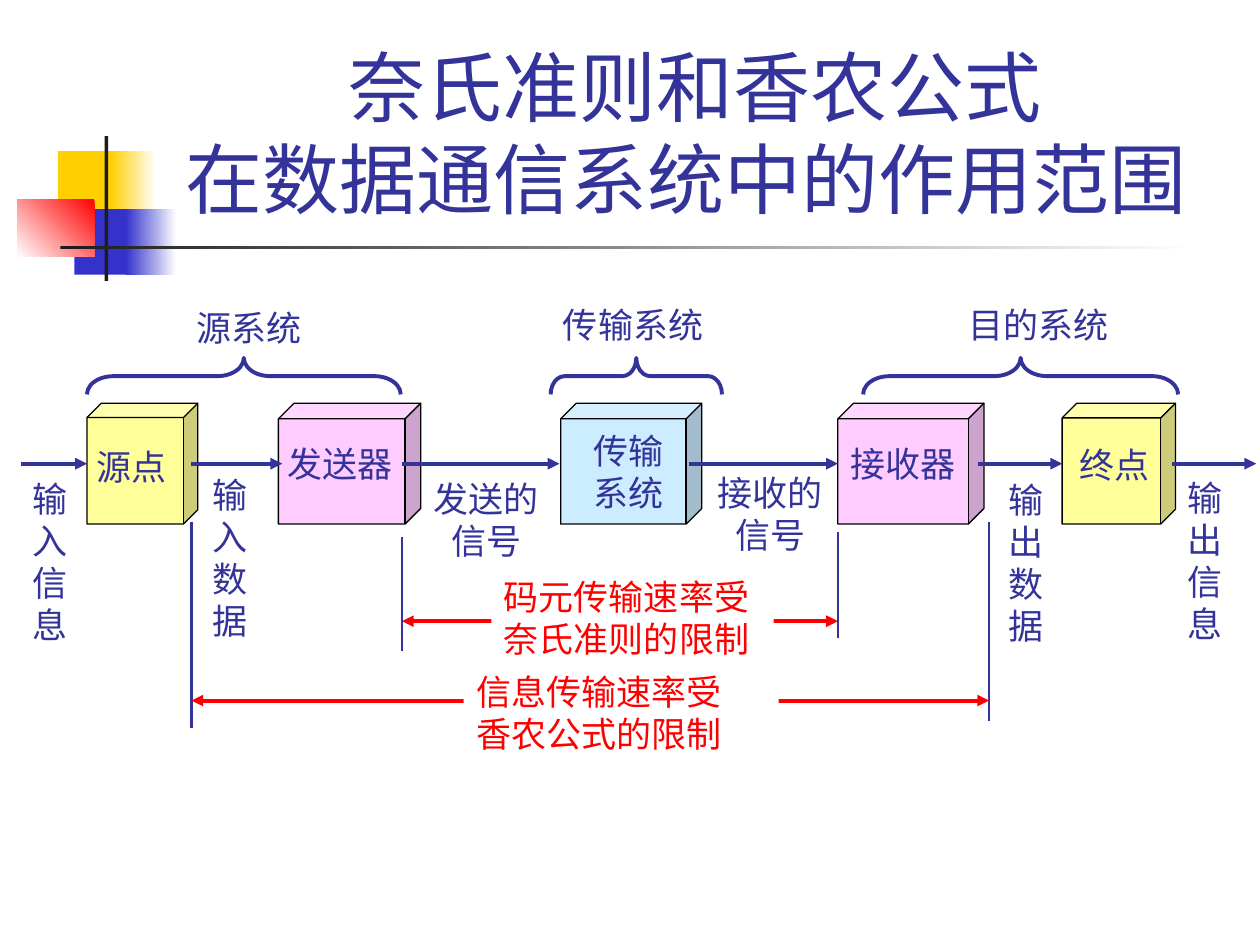
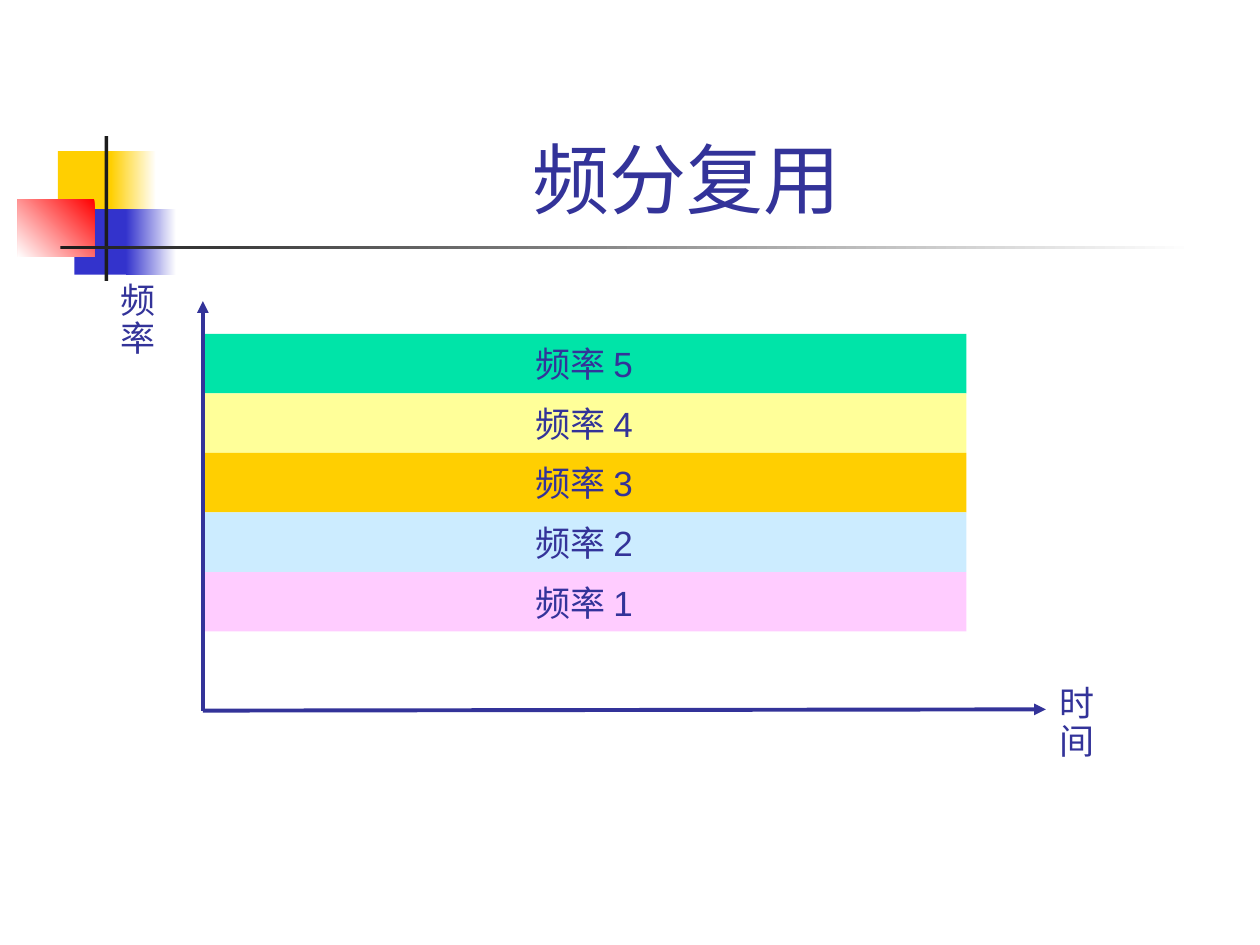
from lxml.etree import SubElement
from pptx import Presentation
from pptx.dml.color import RGBColor
from pptx.enum.shapes import MSO_CONNECTOR, MSO_SHAPE
from pptx.enum.text import MSO_ANCHOR, MSO_AUTO_SIZE, PP_ALIGN
from pptx.oxml.ns import qn
from pptx.util import Inches, Pt

NAVY, RED, WHITE, BLACK = "333399", "FF0000", "FFFFFF", "000000"
GOLD, BLUE, DARK = "FFCF01", "3333CC", "1C1C1C"
YELLOW, PINK, SKY, GREEN = "FFFF99", "FFCCFF", "CCECFF", "00E4A8"
HAN, SANS, SERIF = "Noto Sans CJK SC", "Arial", "Times New Roman"
LEFT, MID = PP_ALIGN.LEFT, PP_ALIGN.CENTER

# left, top, width, height, colour, angle of the fade to white (None: solid)
DECOR = [
    (0.46, 1.2, 0.48, 0.52, GOLD, None),
    (0.88, 1.2, 0.36, 0.52, GOLD, 0),
    (0.59, 1.66, 0.46, 0.52, BLUE, None),
    (1, 1.66, 0.4, 0.52, BLUE, 0),
    (0.14, 1.58, 0.61, 0.46, RED, 225),
    (0.83, 1.08, 0.03, 1.15, DARK, None),
    (0.48, 1.95, 9, 0.03, DARK, 0),
]

# Slide 1
SCOPE = "奈氏准则和香农公式\n在数据通信系统中的作用范围 "
BRACES = [(0.69, 2.49, 0.72), (4.37, 1.36, 0.38), (6.85, 2.5, 0.72)]  # left, width, curve
CUBES = [(0.69, 0.88, YELLOW), (2.21, 1.13, PINK), (4.45, 1.12, SKY),
         (6.65, 1.16, PINK), (8.43, 0.9, YELLOW)]
FLOWS = [(0.17, 0.69), (1.52, 2.24), (3.19, 4.44), (5.47, 6.65),
         (7.76, 8.43), (9.3, 9.97)]
LABELS = [  # text, left, top, width, alignment
    ("源系统", 1.46, 2.38, 1.14, LEFT),
    ("传输系统", 4.37, 2.36, 1.33, LEFT),
    ("目的系统", 7.59, 2.36, 1.42, LEFT),
    ("源点", 0.67, 3.49, 0.83, LEFT),
    ("发送器", 2.18, 3.46, 1.08, LEFT),
    ("传输\n系统", 4.61, 3.36, 0.86, LEFT),
    ("接收器", 6.65, 3.46, 1.08, LEFT),
    ("终点", 8.47, 3.47, 0.83, LEFT),
    ("发送的\n信号", 3.27, 3.74, 1.18, MID),
    ("接收的\n信号", 5.58, 3.69, 1.07, MID),
]
COLUMNS = [("输入信息", 0.16, 3.74), ("输入数据", 1.59, 3.71),
           ("输出数据", 7.91, 3.75), ("输出信息", 9.33, 3.73)]
LIMITS = [  # text, box (left, top, width), arrow height, two posts (x, top, foot)
    ("码元传输速率受\n奈氏准则的限制", (3.9, 4.52, 2.24), 4.93,
     [(3.19, 4.26, 5.17), (6.65, 4.22, 5.06)]),
    ("信息传输速率受\n香农公式的限制", (3.68, 5.27, 2.5), 5.56,
     [(1.52, 4.14, 5.78), (7.85, 4.14, 5.72)]),
]

# Slide 2
BANDS = [("频率 5", GREEN), ("频率 4", YELLOW), ("频率 3", GOLD),
         ("频率 2", SKY), ("频率 1", PINK)]
ORIGIN, BAND_TOP, BAND_W, PITCH = (1.61, 5.64), 2.65, 6.06, 0.4725
AXES = [("频率", (0.86, 2.2), (1.61, 2.39)), ("时间", (8.31, 5.4), (8.3, 5.63))]


def rgb(code):
    return RGBColor.from_string(code)


def add_shape(slide, kind, box, fill=None, line=None, width=0.75):
    shape = slide.shapes.add_shape(kind, *map(Inches, box))
    shape.shadow.inherit = False
    if fill:
        shape.fill.solid()
        shape.fill.fore_color.rgb = rgb(fill)
    else:
        shape.fill.background()
    if line:
        shape.line.color.rgb = rgb(line)
        shape.line.width = Pt(width)
    else:
        shape.line.fill.background()
    return shape


def add_line(slide, start, end, color=NAVY, width=2.25, tips=()):
    """Draw a line; tips names its arrow ends, headEnd before tailEnd."""
    line = slide.shapes.add_connector(
        MSO_CONNECTOR.STRAIGHT, *map(Inches, (*start, *end)))
    line.line.color.rgb = rgb(color)
    line.line.width = Pt(width)
    props = line.element.spPr
    for tip in tips:
        SubElement(props.find(qn("a:ln")), qn("a:" + tip), type="triangle")
    SubElement(props, qn("a:effectLst"))


def write(shape, text, size=20, font=HAN, color=NAVY, align=LEFT, space=None):
    """Fill a shape with one paragraph for each line of text."""
    frame = shape.text_frame
    for i, row in enumerate(text.split("\n")):
        para = frame.add_paragraph() if i else frame.paragraphs[0]
        para.alignment = align
        if space:
            para.line_spacing = space
        run = para.add_run()
        run.text = row
        run.font.size = Pt(size)
        run.font.name = font
        run.font.color.rgb = rgb(color)
    for latin in shape.element.iter(qn("a:latin")):
        latin.addnext(latin.makeelement(qn("a:ea"), typeface=HAN))


def add_text(slide, text, left, top, width, height, wrap=True, **style):
    box = slide.shapes.add_textbox(*map(Inches, (left, top, width, height)))
    box.text_frame.word_wrap = wrap
    write(box, text, **style)


def tall(rows):
    return 0.1 + 0.33 * rows


def add_slide(deck, text, font):
    slide = deck.slides.add_slide(deck.slide_layouts[5])
    for *box, color, angle in DECOR:
        part = add_shape(slide, MSO_SHAPE.RECTANGLE, box, color)
        if angle is not None:
            part.fill.gradient()
            part.fill.gradient_angle = angle
            for stop, shade in zip(part.fill.gradient_stops, (color, WHITE)):
                stop.color.rgb = rgb(shade)
    title = slide.shapes.title
    title.left, title.top, title.width, title.height = map(
        Inches, (1.26, 0.23, 8.52, 1.6))
    frame = title.text_frame
    frame.auto_size = MSO_AUTO_SIZE.NONE
    frame.vertical_anchor = MSO_ANCHOR.BOTTOM
    write(title, text, 44, font, align=MID)
    for para in frame.paragraphs:
        para.space_before = Pt(0)
    return slide


def draw_scope(deck):
    slide = add_slide(deck, SCOPE, HAN)
    depth = 0.29
    for left, span, curve in BRACES:
        box = (left + (span - depth) / 2, 2.84 - (span - depth) / 2, depth, span)
        brace = add_shape(slide, MSO_SHAPE.LEFT_BRACE, box, line=NAVY, width=2.25)
        brace.adjustments[0] = curve
        brace.rotation = 90
    for left, width, fill in CUBES:
        cube = add_shape(slide, MSO_SHAPE.CUBE, (left, 3.2, width, 0.96), fill, BLACK)
        cube.adjustments[0] = 0.13
    for start, end in FLOWS:
        add_line(slide, (start, 3.68), (end, 3.68), tips=["tailEnd"])
    for text, left, top, width, align in LABELS:
        rows = text.count("\n") + 1
        add_text(slide, text, left, top, width, tall(rows), align=align)
    for text, left, top in COLUMNS:
        add_text(slide, text, left, top, 0.67, tall(len(text)))
    for text, (left, top, width), level, posts in LIMITS:
        for x, head, foot in posts:
            add_line(slide, (x, head), (x, foot), width=1.5)
        add_line(slide, (posts[0][0], level), (posts[1][0], level), RED,
                 tips=["headEnd", "tailEnd"])
        box = add_shape(slide, MSO_SHAPE.RECTANGLE, (left, top, width, tall(2)), WHITE)
        box.text_frame.vertical_anchor = MSO_ANCHOR.TOP
        write(box, text, color=RED)


def draw_bands(deck):
    slide = add_slide(deck, "频分复用 ", SANS)
    for i, (text, fill) in enumerate(BANDS):
        top = BAND_TOP + i * PITCH
        add_shape(slide, MSO_SHAPE.RECTANGLE, (ORIGIN[0], top, BAND_W, PITCH), fill)
        add_text(slide, text, 4.15, top + 0.06, 1.11, 0.4, False,
                 font=SANS, space=0.9)
    for text, spot, end in AXES:
        add_line(slide, ORIGIN, end, tips=["tailEnd"])
        add_text(slide, text, *spot, 0.75, 0.4, False, font=SERIF, space=0.9)


def main():
    deck = Presentation()
    deck.slide_width, deck.slide_height = Inches(10), Inches(7.5)
    draw_scope(deck)
    draw_bands(deck)
    deck.save("out.pptx")


if __name__ == "__main__":
    main()
